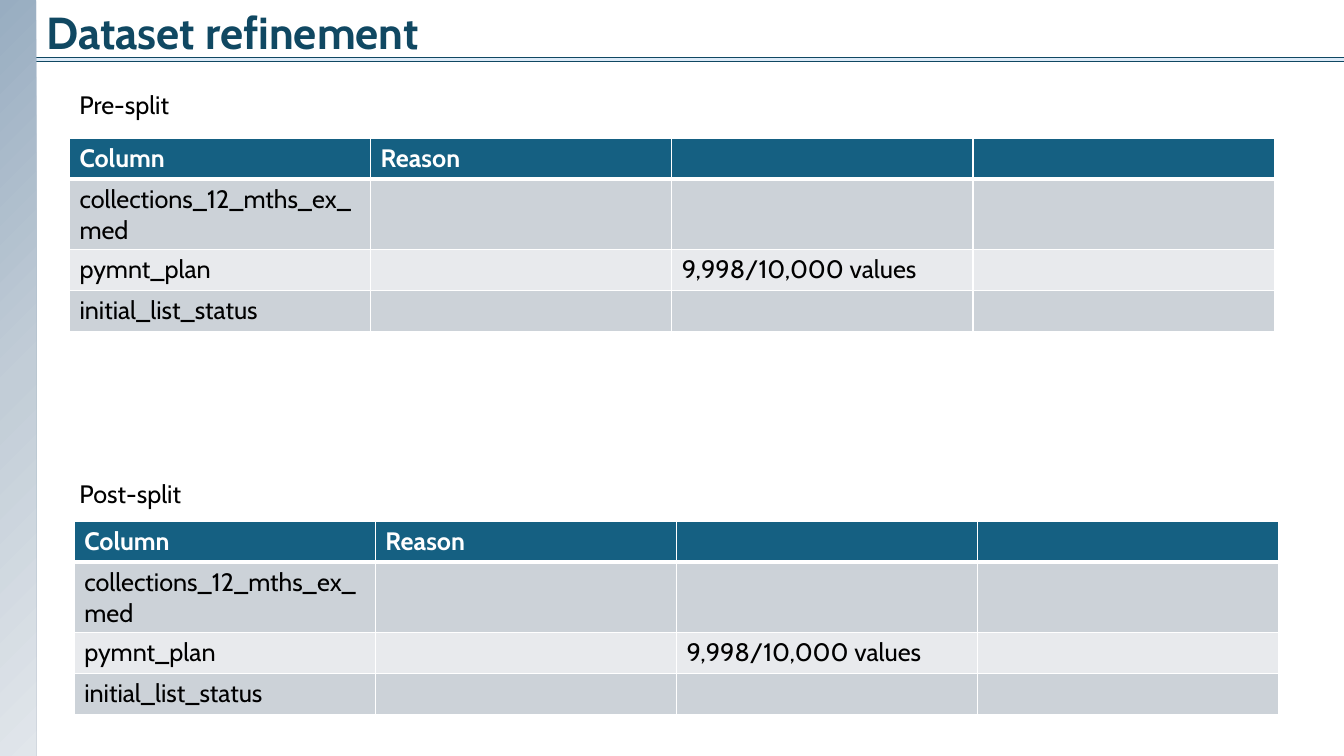
import copy
import dataclasses

import pptx
import pptx.dml.color
import pptx.enum.shapes
import pptx.enum.text
import pptx.oxml
import pptx.util
from pptx.util import Cm


@dataclasses.dataclass(frozen=True)
class Theme:
    font: str = "Cabin"
    title_size: int = 32
    body_size: int = 18
    navy: str = "104862"
    pale_blue: str = "DCEAF7"
    header: str = "156082"
    bands: tuple = ("CCD2D8", "E8EAED")
    sidebar: tuple = ("98ADC1", "C2CDD7", "E1E6EB")
    black: str = "000000"
    white: str = "FFFFFF"


theme = Theme()
rgb = pptx.dml.color.RGBColor.from_string
NAMESPACE = 'xmlns:a="http://schemas.openxmlformats.org/drawingml/2006/main"'


def write(frame, text, size=theme.body_size, color=theme.black, bold=False):
    paragraph = frame.paragraphs[0]
    paragraph.alignment = pptx.enum.text.PP_ALIGN.LEFT
    run = paragraph.add_run()
    run.text = text
    run.font.name = theme.font
    run.font.size = pptx.util.Pt(size)
    run.font.bold = bold
    run.font.color.rgb = rgb(color)


def border_cell(cell, bottom_width):
    properties = cell._tc.get_or_add_tcPr()
    for side, width in (("L", 1), ("R", 1), ("T", 1), ("B", bottom_width)):
        properties.append(pptx.oxml.parse_xml(
            f'<a:ln{side} {NAMESPACE} w="{pptx.util.Pt(width)}"><a:solidFill>'
            f'<a:srgbClr val="{theme.white}"/></a:solidFill></a:ln{side}>'))


deck = pptx.Presentation()
deck.slide_width = Cm(33.87)
deck.slide_height = Cm(19.05)
slide = deck.slides.add_slide(deck.slide_layouts[5])

heading = slide.shapes.title
heading.left, heading.top, heading.width, heading.height = Cm(0.91), Cm(0), Cm(32.96), Cm(1.62)
heading.text_frame.word_wrap = True
heading.text_frame.auto_size = pptx.enum.text.MSO_AUTO_SIZE.NONE
heading.text_frame.vertical_anchor = pptx.enum.text.MSO_ANCHOR.TOP
write(heading.text_frame, "Dataset refinement", size=theme.title_size, color=theme.navy, bold=True)

rules = [
    (0.23, 1.5, theme.pale_blue, 1.5),
    (0.91, 1.45, theme.navy, 0.5),
    (0.91, 1.55, theme.navy, 0.5),
]
for start, height, color, width in rules:
    rule = slide.shapes.add_connector(
        pptx.enum.shapes.MSO_CONNECTOR.STRAIGHT, Cm(start), Cm(height), Cm(33.87), Cm(height))
    rule.line.color.rgb = rgb(color)
    rule.line.width = pptx.util.Pt(width)
    rule._element.spPr.append(pptx.oxml.parse_xml(f"<a:effectLst {NAMESPACE}/>"))

sidebar = slide.shapes.add_shape(
    pptx.enum.shapes.MSO_SHAPE.RECTANGLE, Cm(0), Cm(0), Cm(0.91), Cm(19.05))
sidebar.shadow.inherit = False
sidebar.line.fill.background()
sidebar.fill.gradient()
sidebar.fill.gradient_angle = 315
first_stop = sidebar.fill.gradient_stops[0]._gs
first_stop.addnext(copy.deepcopy(first_stop))
for stop, color, position in zip(sidebar.fill.gradient_stops, theme.sidebar, (0, 0.5, 1)):
    stop.color.rgb = rgb(color)
    stop.position = position

rows = [
    ["Column", "Reason", "", ""],
    ["collections_12_mths_ex_med", "", "", ""],
    ["pymnt_plan", "", "9,998/10,000 values", ""],
    ["initial_list_status", "", "", ""],
]
stages = [("Pre-split", 2.13, 1.75, 3.48), ("Post-split", 11.94, 1.87, 13.13)]

for stage, label_top, table_left, table_top in stages:
    label = slide.shapes.add_textbox(Cm(1.75), Cm(label_top), Cm(24.13), Cm(1.03))
    label.text_frame.word_wrap = True
    write(label.text_frame, stage)

    refinement = slide.shapes.add_table(
        len(rows), len(rows[0]), Cm(table_left), Cm(table_top), Cm(30.36), Cm(4.88))
    for column in refinement.table.columns:
        column.width = Cm(7.59)
    for number, values in enumerate(rows):
        refinement.table.rows[number].height = Cm(1.03)
        is_header = number == 0
        for position, value in enumerate(values):
            cell = refinement.table.cell(number, position)
            border_cell(cell, bottom_width=3 if is_header else 1)
            cell.fill.solid()
            cell.fill.fore_color.rgb = rgb(theme.header if is_header else theme.bands[(number - 1) % 2])
            if value:
                write(cell.text_frame, value, bold=is_header,
                      color=theme.white if is_header else theme.black)
    refinement.height = Cm(4.88)

deck.save("out.pptx")
